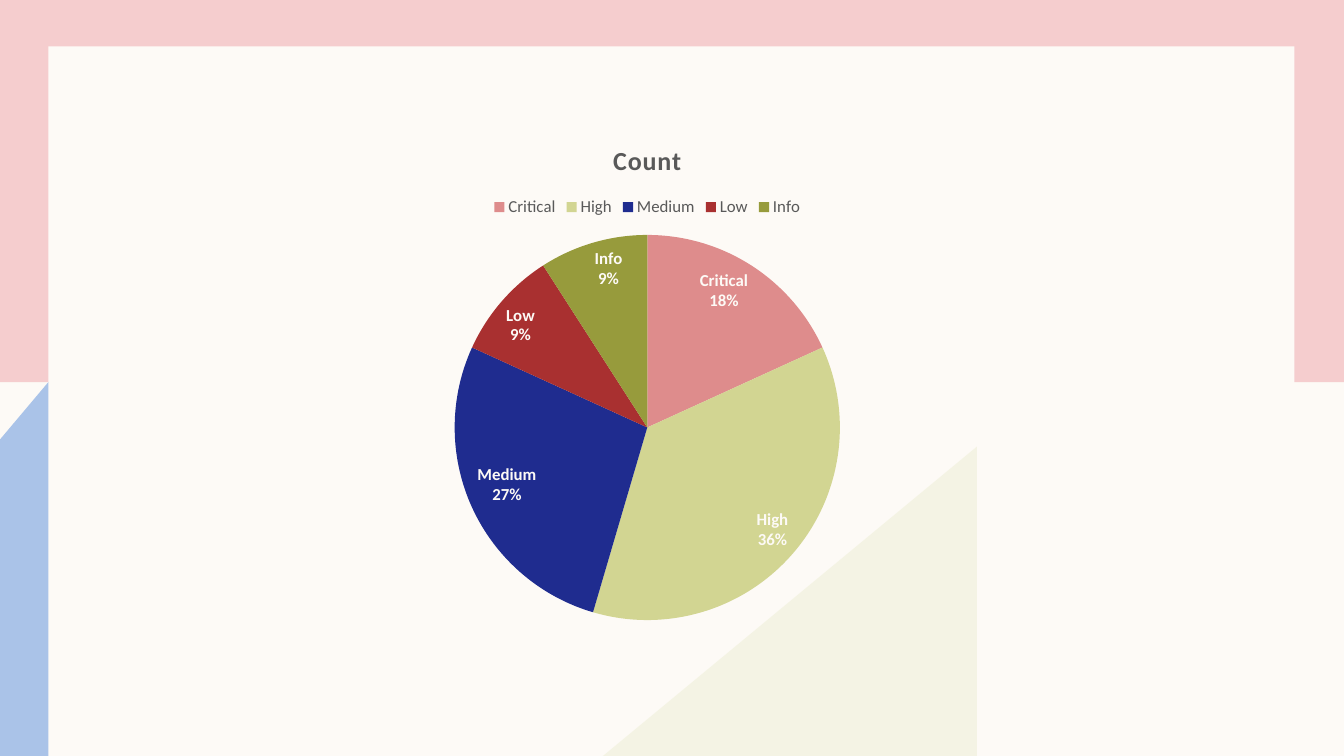
from lxml import etree
from pptx import Presentation
from pptx.chart.data import CategoryChartData
from pptx.dml.color import RGBColor
from pptx.enum.chart import XL_CHART_TYPE as ChartType
from pptx.enum.chart import XL_LABEL_POSITION as LabelPos
from pptx.enum.chart import XL_LEGEND_POSITION as LegendPos
from pptx.enum.shapes import MSO_SHAPE as Shape
from pptx.oxml.ns import qn
from pptx.util import Inches, Pt

COLORS = {
    "cream": "FDFAF6", "pink": "F5CDCE", "blue": "AAC3E8", "sand": "EDEED3",
    "gray": "595959", "black": "000000",
}
SEVERITIES = {
    "Critical": (18, "DE8C8C"),
    "High": (36, "D2D592"),
    "Medium": (27, "1F2C8F"),
    "Low": (9, "A93030"),
    "Info": (9, "979B3C"),
}
TEXT = {
    "chart": {"size": Pt(10)},
    "title": {"size": Pt(18.6), "bold": True},
    "legend": {"size": Pt(12), "bold": False},
    "label": {"size": Pt(12), "bold": True},
}


class SlideBuilder:
    def __init__(self, slide, font="Calibri"):
        self.slide = slide
        self.font = font

    def background(self, color):
        self.fill(self.slide.background, color)

    def fill(self, target, color):
        target.fill.solid()
        target.fill.fore_color.rgb = RGBColor.from_string(COLORS.get(color, color))

    def finish(self, s, color, alpha=None):
        """Give a shape a plain fill with no line or shadow."""
        self.fill(s, color)
        s.line.fill.background()
        s.shadow.inherit = False
        if alpha is not None:
            clr = s.fill._xPr.find(qn("a:solidFill"))[0]
            etree.SubElement(clr, qn("a:alpha")).set("val", str(alpha * 1000))

    def rect(self, left, top, width, height, color):
        box = map(Inches, (left, top, width, height))
        self.finish(self.slide.shapes.add_shape(Shape.RECTANGLE, *box), color)

    def polygon(self, points, color, alpha=None):
        start, *rest = [(Inches(x), Inches(y)) for x, y in points]
        builder = self.slide.shapes.build_freeform(*start)
        builder.add_line_segments(rest, close=True)
        self.finish(builder.convert_to_shape(), color, alpha)

    def style(self, font, role, color):
        for name, value in {"name": self.font, **TEXT[role]}.items():
            setattr(font, name, value)
        font.color.rgb = RGBColor.from_string(COLORS[color])

    def pie(self, left, top, width, height, title, slices):
        data = CategoryChartData()
        data.categories = list(slices)
        data.add_series(title, [value for value, _ in slices.values()])
        box = map(Inches, (left, top, width, height))
        chart = self.slide.shapes.add_chart(ChartType.PIE, *box, data).chart
        self.style(chart.font, "chart", "black")

        chart.has_title = True
        p = chart.chart_title.text_frame.paragraphs[0]
        r = p.add_run()
        r.text = title
        self.style(r.font, "title", "gray")
        r.font._element.set("spc", "50")
        chart.chart_title.include_in_layout = False

        chart.has_legend = True
        chart.legend.position = LegendPos.TOP
        chart.legend.include_in_layout = False
        self.style(chart.legend.font, "legend", "gray")

        plot = chart.plots[0]
        plot.vary_by_categories = True
        series = plot.series[0]
        for i, (_, color) in enumerate(slices.values()):
            self.fill(series.points[i].format, color)
        labels = series.data_labels
        settings = {
            "show_value": False, "show_category_name": True,
            "show_percentage": True, "position": LabelPos.INSIDE_END,
        }
        for name, value in settings.items():
            setattr(labels, name, value)
        self.style(labels.font, "label", "cream")


def main():
    prs = Presentation()
    prs.slide_width, prs.slide_height = Inches(13.33), Inches(7.5)
    page = SlideBuilder(prs.slides.add_slide(prs.slide_layouts[6]))
    page.background("cream")
    page.rect(-0.03, 0, 13.36, 3.79, "pink")
    page.rect(0.48, 0.46, 12.36, 6.59, "cream")
    page.polygon([(5.98, 7.5), (9.69, 4.43), (9.69, 7.5)], "sand", alpha=50)
    page.polygon([(0.48, 3.79), (0.48, 7.5), (0, 7.5), (0, 4.36)], "blue")
    page.pie(2.05, 1.21, 8.74, 5.08, "Count", SEVERITIES)
    prs.save("out.pptx")


if __name__ == "__main__":
    main()
